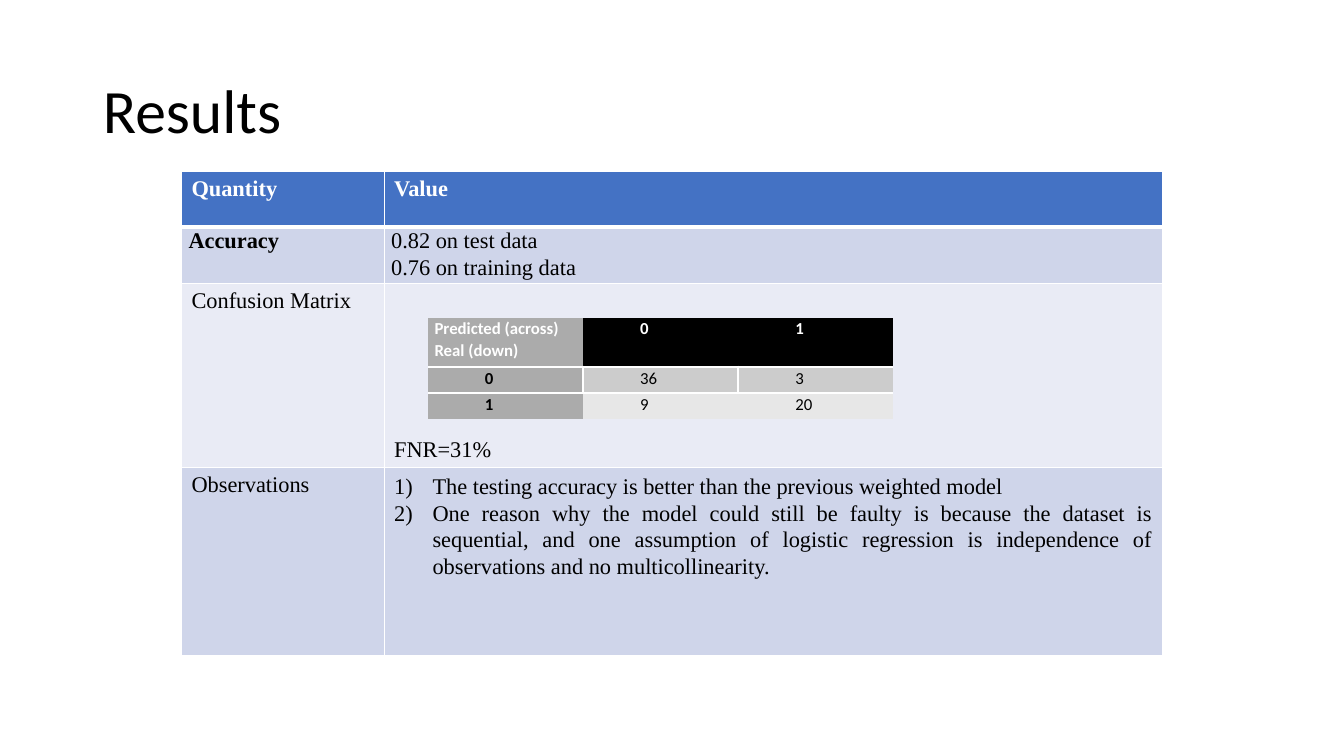
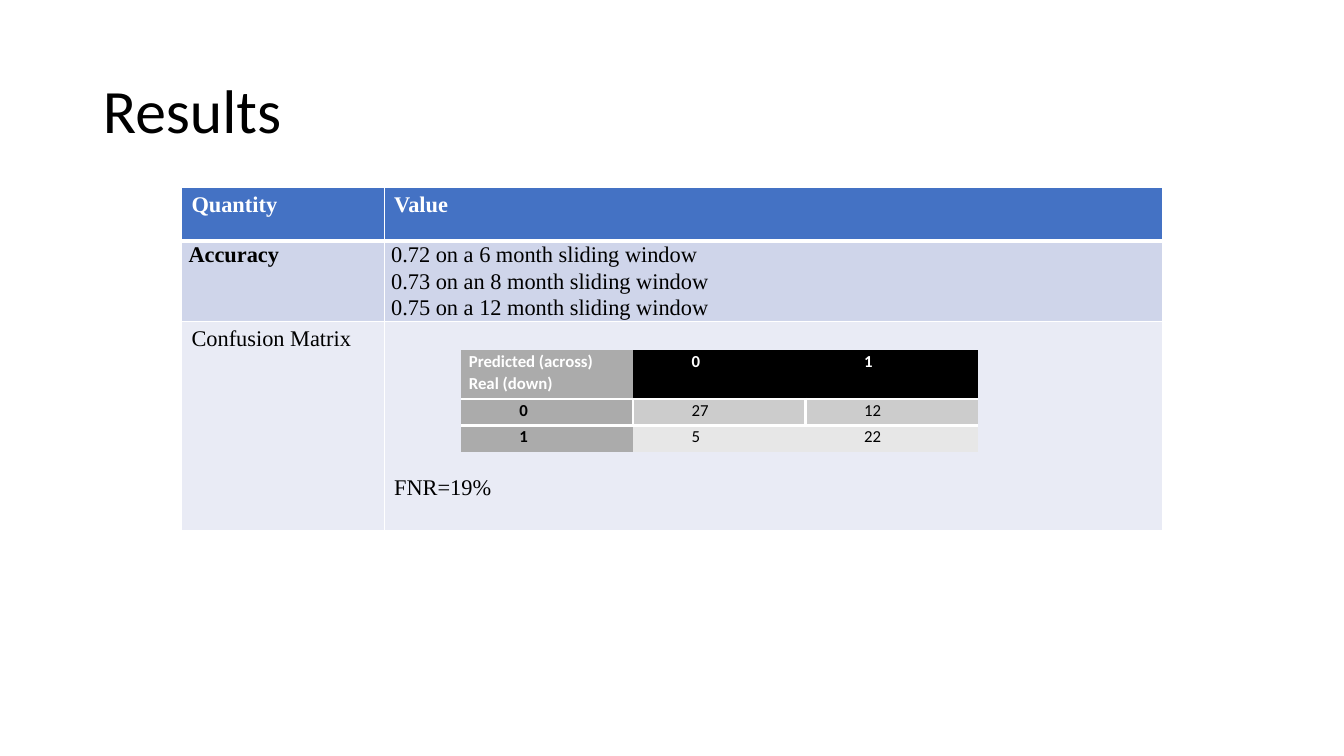
from dataclasses import dataclass

from lxml import etree
from pptx import Presentation
from pptx.dml.color import RGBColor
from pptx.enum.text import MSO_ANCHOR, PP_ALIGN
from pptx.oxml.ns import qn
from pptx.util import Inches, Pt

LEFT, JUSTIFY = PP_ALIGN.LEFT, PP_ALIGN.JUSTIFY
MIDDLE = MSO_ANCHOR.MIDDLE
TITLE_ONLY = 5
PLAIN_TABLE = "{2D5ABB26-0587-4C30-8999-92F81FD0307C}"


@dataclass(frozen=True)
class Theme:
    heading_font: str = "Calibri"
    body_font: str = "Times New Roman"
    title_size: int = 44
    body_size: int = 16
    matrix_size: int = 12
    black: str = "000000"
    white: str = "FFFFFF"
    header: str = "4472C4"
    bands: tuple = ("CFD5EA", "E9EBF5")
    matrix_label: str = "ABABAB"
    matrix_bands: tuple = ("CCCCCC", "E7E7E7")


class Deck:
    def __init__(self, theme):
        self.theme = theme
        self.prs = Presentation()
        self.prs.slide_width, self.prs.slide_height = Inches(13.33), Inches(7.5)
        self.slide = None

    def add_slide(self, heading):
        theme = self.theme
        self.slide = self.prs.slides.add_slide(self.prs.slide_layouts[TITLE_ONLY])
        title = self.slide.shapes.title
        title.left, title.top = Inches(0.92), Inches(0.4)
        title.width, title.height = Inches(11.5), Inches(1.45)
        title.text_frame.vertical_anchor = MIDDLE
        paragraph = title.text_frame.paragraphs[0]
        paragraph.alignment, paragraph.line_spacing = LEFT, 0.9
        self.run(paragraph, heading, theme.heading_font, theme.title_size, theme.black)

    def run(self, paragraph, text, font, size, color, bold=False):
        run = paragraph.add_run()
        run.text = text
        run.font.name, run.font.size, run.font.bold = font, Pt(size), bold
        run.font.color.rgb = RGBColor.from_string(color)

    def table(self, left, top, widths, heights):
        """Add a table without any built-in style and return it."""
        frame = self.slide.shapes.add_table(
            len(heights), len(widths), Inches(left), Inches(top),
            Inches(sum(widths)), Inches(sum(heights)))
        table = frame.table
        table.first_row = table.horz_banding = False
        table._tbl.tblPr.find(qn("a:tableStyleId")).text = PLAIN_TABLE
        for column, width in zip(table.columns, widths):
            column.width = Inches(width)
        for row, height in zip(table.rows, heights):
            row.height = Inches(height)
        return table

    def borders(self, cell, widths):
        """Draw white borders; widths maps the sides L, R, T, B to points."""
        properties = cell._tc.get_or_add_tcPr()
        for side in "LRTB":
            if side in widths:
                line = etree.SubElement(properties, qn(f"a:ln{side}"), w=str(Pt(widths[side])))
                fill = etree.SubElement(line, qn("a:solidFill"))
                etree.SubElement(fill, qn("a:srgbClr"), val=self.theme.white)

    def cell(self, cell, lines, fill, font, size, color, bold=False, borders=None,
             margins=(0.1, 0.05), align=LEFT, spacing=1.0, indent=0, numbered=False):
        self.borders(cell, borders or {})
        cell.fill.solid()
        cell.fill.fore_color.rgb = RGBColor.from_string(fill)
        side, top = margins
        cell.margin_left = cell.margin_right = Inches(side)
        cell.margin_top, cell.margin_bottom = Inches(top), Inches(min(top, 0.05))
        frame = cell.text_frame
        for index, text in enumerate(lines):
            paragraph = frame.add_paragraph() if index else frame.paragraphs[0]
            paragraph.alignment, paragraph.line_spacing = align, spacing
            properties = paragraph._p.get_or_add_pPr()
            if indent:
                properties.set("marL", str(Inches(indent)))
            if numbered:
                properties.set("indent", str(-Inches(indent)))
                etree.SubElement(properties, qn("a:buAutoNum"), type="arabicParenR")
            self.run(paragraph, text, font, size, color, bold)

    def results(self, top, heights, accuracy, false_negatives, observations=()):
        theme = self.theme
        tight = dict(margins=(0.07, 0), align=JUSTIFY, spacing=1.07)
        rows = [
            (["Quantity"], dict(bold=True), ["Value"], dict(bold=True)),
            (["Accuracy"], dict(tight, bold=True), accuracy, tight),
            (["Confusion Matrix"], {}, [false_negatives], dict(margins=(0.1, 1.53))),
        ]
        if observations:
            rows.append((["Observations"], {}, observations,
                         dict(align=JUSTIFY, spacing=1.07, indent=0.38, numbered=True)))
        table = self.table(1.8, top, (2.01, 7.72), heights)
        for r, (quantity, quantity_style, value, value_style) in enumerate(rows):
            fill = theme.bands[(r - 1) % 2] if r else theme.header
            color = theme.black if r else theme.white
            edges = dict(L=1, R=1, T=3 if r == 1 else 1, B=1 if r else 3)
            for c, (lines, style) in enumerate(((quantity, quantity_style), (value, value_style))):
                self.cell(table.cell(r, c), lines, fill, theme.body_font,
                          theme.body_size, color, borders=edges, **style)

    def confusion_matrix(self, left, top, column, counts, margin):
        theme = self.theme
        table = self.table(left, top, [column] * 3, (0.49, 0.26, 0.26))
        rows = [(None, 0, 1)] + [(label, *values) for label, values in enumerate(counts)]
        for r, row in enumerate(rows):
            for c, value in enumerate(row):
                corner = value is None
                if c == 0:
                    fill = theme.matrix_label
                else:
                    fill = theme.matrix_bands[r - 1] if r else theme.black
                edges = {"T": 2} if r == 1 else {} if r else {"B": 2}
                if r == 1 and c < 2:
                    edges["L" if c else "R"] = 2
                self.cell(table.cell(r, c),
                          ["Predicted (across)", "Real (down)"] if corner else [str(value)],
                          fill, theme.heading_font, theme.matrix_size,
                          theme.black if r else theme.white, bold=r == 0 or c == 0,
                          borders=edges, margins=(margin, 0), align=JUSTIFY,
                          spacing=1.07, indent=0 if corner else 0.5)


def main():
    deck = Deck(Theme())

    deck.add_slide("Results")
    deck.results(
        1.7, (0.55, 0.56, 1.83, 1.86),
        ["0.82 on test data", "0.76 on training data"], "FNR=31%",
        ["The testing accuracy is better than the previous weighted model",
         "One reason why the model could still be faulty is because the dataset is "
         "sequential, and one assumption of logistic regression is independence of "
         "observations and no multicollinearity."])
    deck.confusion_matrix(4.24, 3.15, 1.54, [(36, 3), (9, 20)], 0.07)

    deck.add_slide("Results")
    deck.results(
        1.86, (0.53, 0.8, 2.07),
        [f"{score} month sliding window"
         for score in ("0.72 on a 6", "0.73 on an 8", "0.75 on a 12")], "FNR=19%")
    deck.confusion_matrix(4.57, 3.47, 1.71, [(27, 12), (5, 22)], 0.08)

    deck.prs.save("out.pptx")


if __name__ == "__main__":
    main()
